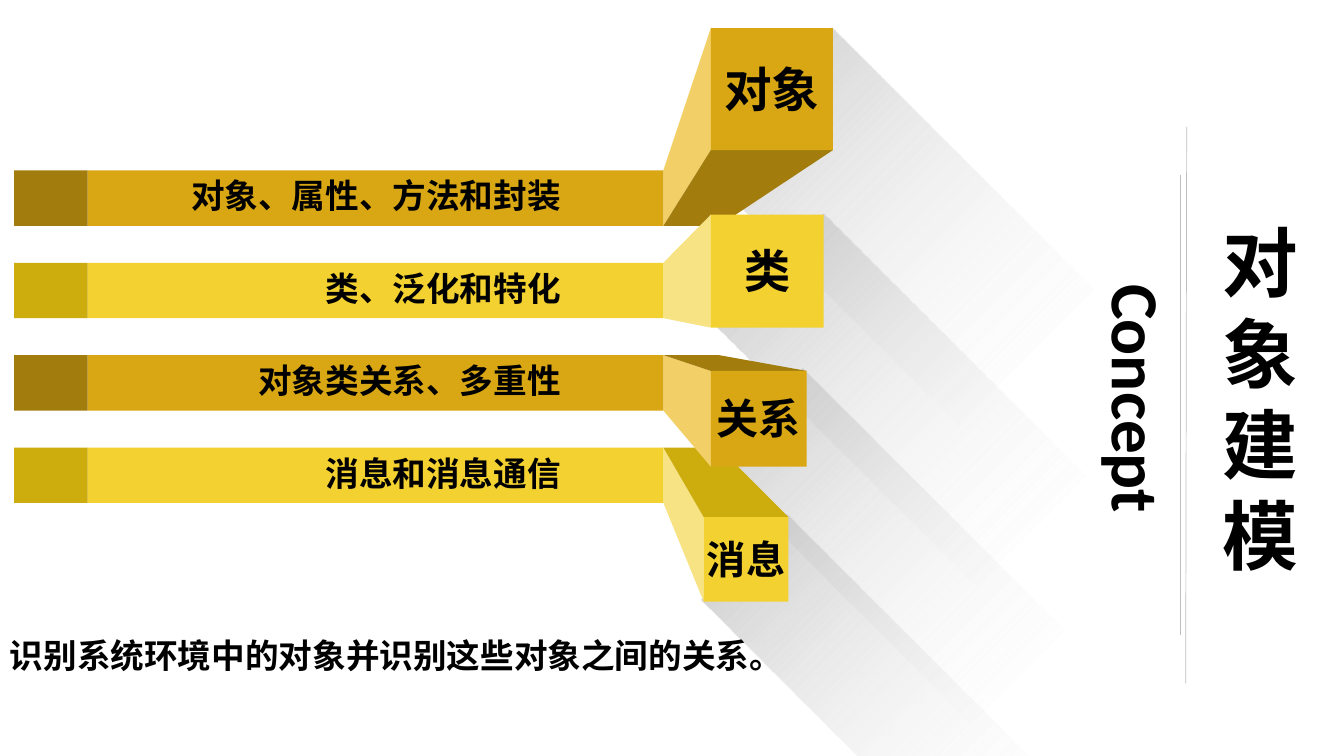
from lxml import etree
from pptx import Presentation
from pptx.dml.color import RGBColor
from pptx.enum import shapes, text
from pptx.oxml import ns
from pptx.util import Inches, Pt

COLORS = {
    "gold": "D8A713", "gold_dark": "A27D0E", "gold_light": "F2CF67",
    "yellow": "F2D130", "yellow_dark": "CDAC0D", "yellow_light": "F7E383",
    "shadow": "BFBFBF", "white": "FFFFFF", "text": "000000",
}
CJK, LATIN = "Noto Sans CJK SC", "Calibri"

deck = Presentation()
deck.slide_width, deck.slide_height = Inches(13.33), Inches(7.5)
slide = deck.slides.add_slide(deck.slide_layouts[5])


def paint(shape, color):
    shape.shadow.inherit = False
    shape.line.fill.background()
    shape.fill.solid()
    shape.fill.fore_color.rgb = RGBColor.from_string(COLORS[color])


def write(box, words, size, font, align):
    frame = box.text_frame
    frame.word_wrap = True
    frame.vertical_anchor = text.MSO_ANCHOR.MIDDLE
    frame.text = words
    frame.paragraphs[0].alignment = align
    run = frame.paragraphs[0].runs[0]
    run.font.size, run.font.bold, run.font.name = Pt(size), True, font
    run.font.color.rgb = RGBColor.from_string(COLORS["text"])
    east_asian = etree.SubElement(run.font._element, ns.qn("a:ea"))
    east_asian.set("typeface", CJK)


# Title, one character per line
title = slide.shapes.title
title.left, title.top, title.width, title.height = (
    Inches(12), Inches(2.02), Inches(1), Inches(3.84))
write(title, "对象建模", 54, LATIN, text.PP_ALIGN.CENTER)
title.text_frame.paragraphs[0].line_spacing = Pt(65)

# Hairlines beside the title
for x1, y1, x2, y2 in [(11.77, 1.26, 11.76, 6.78), (11.71, 1.74, 11.71, 6.3)]:
    rule = slide.shapes.add_connector(
        shapes.MSO_CONNECTOR.STRAIGHT, Inches(x1), Inches(y1), Inches(x2), Inches(y2))
    rule.line.color.rgb = RGBColor.from_string(COLORS["shadow"])
    rule.line.width = Pt(0.5)
    etree.SubElement(rule._element.spPr, ns.qn("a:effectLst"))

# Long diagonal shadows
for left, top, width in [(7.93, 0.41, 1.9), (8.15, 2.13, 1.54),
                         (8.14, 3.58, 1.31), (8.08, 4.99, 1.2)]:
    shadow = slide.shapes.add_shape(
        shapes.MSO_SHAPE.RECTANGLE, Inches(left), Inches(top), Inches(width), Inches(3.67))
    paint(shadow, "shadow")
    shadow.rotation = 315
    shadow.fill.gradient()
    shadow.fill.gradient_angle = 270
    stops = shadow.fill.gradient_stops
    for stop, color, position in zip(stops, ("shadow", "white"), (0.03, 1)):
        stop.color.rgb = RGBColor.from_string(COLORS[color])
        stop.position = position
    tints = shadow._element.spPr.iter(ns.qn("a:srgbClr"))
    for tint, opacity in zip(tints, ("80000", "0")):
        etree.SubElement(tint, ns.qn("a:alpha")).set("val", opacity)

# Bars that fold out into cubes
BAR_LEFT, BAR_SPLIT, BAR_RIGHT, FOLD_RIGHT = 0.14, 0.87, 6.58, 7.13
BAR_TOP, BAR_HEIGHT, BAR_PITCH = 1.69, 0.55, 2.75 / 3
# row, hue, cube left, cube top, cube side, visible fold, bar text, cube text, size
concepts = [
    (0, "gold", 7.05, 0.28, 1.21, "bottom", "对象、属性、方法和封装", "对象", 34),
    (1, "yellow", 7.05, 2.13, 1.12, None, "类、泛化和特化", "类", 33),
    (3, "yellow", 6.98, 5.13, 0.84, "top", "消息和消息通信", "消息", 28),
    (2, "gold", 7.05, 3.68, 0.95, "top", "对象类关系、多重性", "关系", 30),
]
for row, hue, left, top, side, fold, detail, name, size in concepts:
    bar_top = BAR_TOP + row * BAR_PITCH
    bar_bottom = bar_top + BAR_HEIGHT
    right, bottom = left + side, top + side

    faces = [(hue + "_light", [(BAR_RIGHT, bar_top), (left, top),
                               (left, bottom), (BAR_RIGHT, bar_bottom)])]
    if fold:
        bar_y, cube_y = (bar_top, top) if fold == "top" else (bar_bottom, bottom)
        faces.append((hue + "_dark", [(BAR_RIGHT, bar_y), (FOLD_RIGHT, bar_y),
                                      (right, cube_y), (left, cube_y)]))
    for color, corners in faces:
        points = [(Inches(x), Inches(y)) for x, y in corners]
        outline = slide.shapes.build_freeform(*points[0])
        outline.add_line_segments(points[1:], close=True)
        paint(outline.convert_to_shape(), color)

    for color, x, y, width, height in [
            (hue, BAR_SPLIT, bar_top, BAR_RIGHT - BAR_SPLIT, BAR_HEIGHT),
            (hue + "_dark", BAR_LEFT, bar_top, BAR_SPLIT - BAR_LEFT, BAR_HEIGHT),
            (hue, left, top, side, side)]:
        block = slide.shapes.add_shape(
            shapes.MSO_SHAPE.RECTANGLE, Inches(x), Inches(y), Inches(width), Inches(height))
        paint(block, color)

    detail_box = slide.shapes.add_textbox(
        Inches(1.66), Inches(bar_top), Inches(4), Inches(0.5))
    write(detail_box, detail, 24, CJK, text.PP_ALIGN.RIGHT)
    name_box = slide.shapes.add_textbox(
        Inches(left + side / 2 - 0.7), Inches(top + side / 2 - 0.34), Inches(1.4), Inches(0.66))
    write(name_box, name, size, CJK, text.PP_ALIGN.CENTER)

# English subtitle, turned on its side
subtitle = slide.shapes.add_textbox(Inches(9.06), Inches(3.5), Inches(4.47), Inches(0.91))
subtitle.rotation = 90
write(subtitle, "Concept", 48, LATIN, text.PP_ALIGN.CENTER)

# Summary sentence
summary = slide.shapes.add_textbox(Inches(0), Inches(6.25), Inches(8.25), Inches(0.5))
write(summary, "识别系统环境中的对象并识别这些对象之间的关系。", 24, CJK, text.PP_ALIGN.LEFT)

deck.save("out.pptx")
